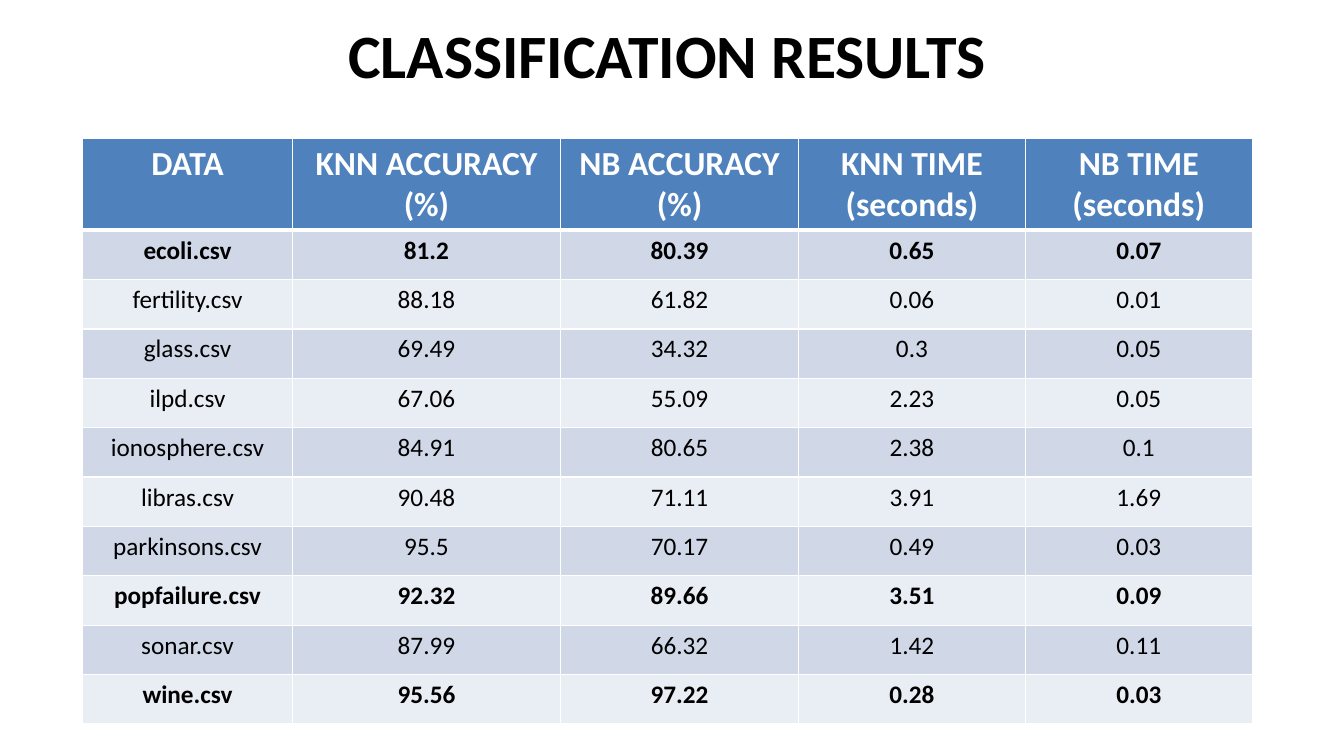
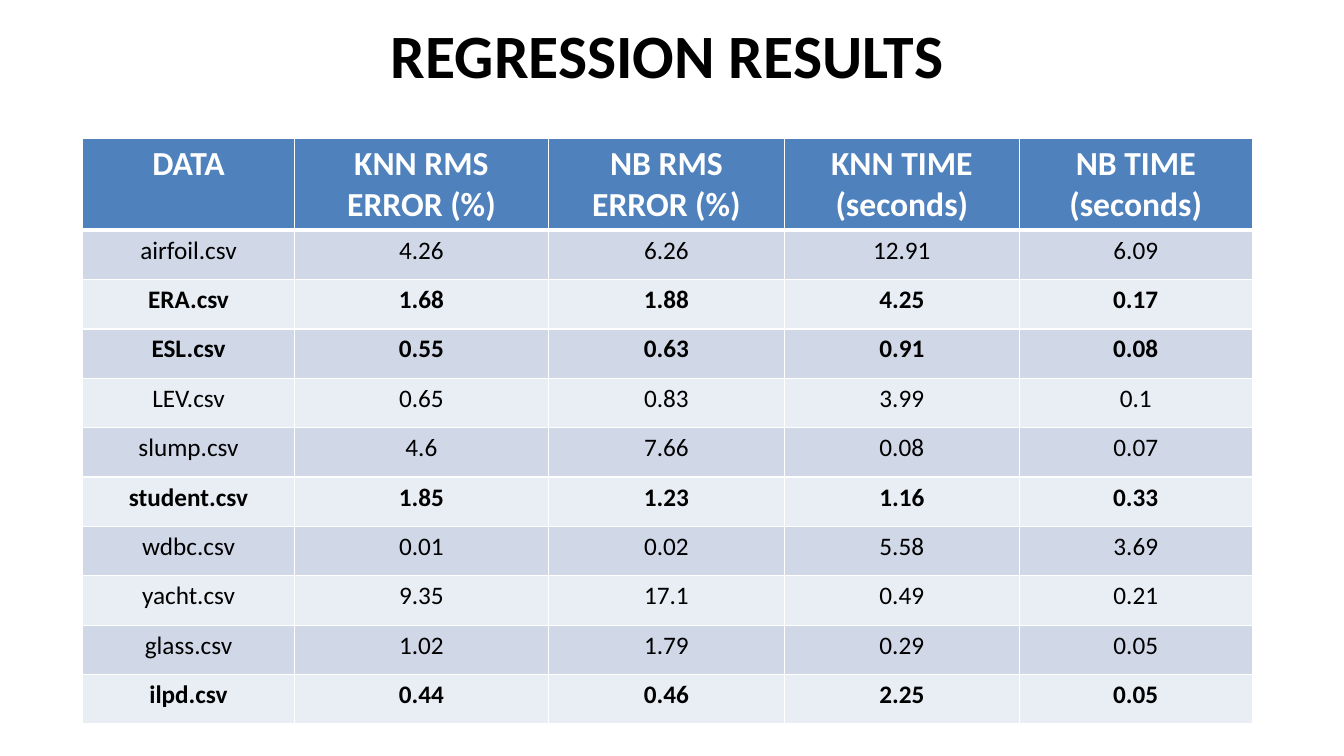
from lxml import etree
from pptx import Presentation
from pptx.dml.color import RGBColor
from pptx.enum.text import MSO_ANCHOR, PP_ALIGN
from pptx.oxml.ns import qn
from pptx.util import Inches, Pt

CENTER = PP_ALIGN.CENTER
MIDDLE = MSO_ANCHOR.MIDDLE

# Content: rows whose data set is listed in "highlighted" are bold
RESULTS = [
    {
        "title": "CLASSIFICATION RESULTS",
        "headings": ["DATA", "KNN ACCURACY (%)", "NB ACCURACY (%)",
                     "KNN TIME (seconds)", "NB TIME (seconds)"],
        "widths": [2.08, 2.66, 2.36, 2.25, 2.25],
        "highlighted": {"ecoli.csv", "popfailure.csv", "wine.csv"},
        "scores": [
            ("ecoli.csv", 81.2, 80.39, 0.65, 0.07),
            ("fertility.csv", 88.18, 61.82, 0.06, 0.01),
            ("glass.csv", 69.49, 34.32, 0.3, 0.05),
            ("ilpd.csv", 67.06, 55.09, 2.23, 0.05),
            ("ionosphere.csv", 84.91, 80.65, 2.38, 0.1),
            ("libras.csv", 90.48, 71.11, 3.91, 1.69),
            ("parkinsons.csv", 95.5, 70.17, 0.49, 0.03),
            ("popfailure.csv", 92.32, 89.66, 3.51, 0.09),
            ("sonar.csv", 87.99, 66.32, 1.42, 0.11),
            ("wine.csv", 95.56, 97.22, 0.28, 0.03),
        ],
    },
    {
        "title": "REGRESSION RESULTS",
        "headings": ["DATA", "KNN RMS ERROR (%)", "NB RMS ERROR (%)",
                     "KNN TIME (seconds)", "NB TIME (seconds)"],
        "widths": [2.1, 2.52, 2.34, 2.33, 2.31],
        "highlighted": {"ERA.csv", "ESL.csv", "student.csv", "ilpd.csv"},
        "scores": [
            ("airfoil.csv", 4.26, 6.26, 12.91, 6.09),
            ("ERA.csv", 1.68, 1.88, 4.25, 0.17),
            ("ESL.csv", 0.55, 0.63, 0.91, 0.08),
            ("LEV.csv", 0.65, 0.83, 3.99, 0.1),
            ("slump.csv", 4.6, 7.66, 0.08, 0.07),
            ("student.csv", 1.85, 1.23, 1.16, 0.33),
            ("wdbc.csv", 0.01, 0.02, 5.58, 3.69),
            ("yacht.csv", 9.35, 17.1, 0.49, 0.21),
            ("glass.csv", 1.02, 1.79, 0.29, 0.05),
            ("ilpd.csv", 0.44, 0.46, 2.25, 0.05),
        ],
    },
]

# Shared look
FONT = "Calibri"
BLACK, WHITE = "000000", "FFFFFF"
HEADER_FILL = "4F81BD"
BAND_FILLS = ["D0D8E8", "E9EDF4"]
LEFT, WIDTH = Inches(0.82), Inches(11.6)
TITLE_HEIGHT = Inches(1.07)
TABLE_TOP, TABLE_HEIGHT = Inches(1.37), Inches(5.83)
HEADER_HEIGHT, ROW_HEIGHT = Inches(0.5), Inches(0.49)
HEADER_BORDERS = {"a:lnL": 1, "a:lnR": 1, "a:lnT": 1, "a:lnB": 3}


def rgb(color):
    return RGBColor.from_string(color)


def format_text(frame, text, size, color, bold):
    frame.text = text
    paragraph = frame.paragraphs[0]
    paragraph.alignment = CENTER
    font = paragraph.font
    font.name, font.size, font.bold = FONT, Pt(size), bold
    font.color.rgb = rgb(color)


def fill_cell(cell, text, size, color, bold, fill):
    format_text(cell.text_frame, text, size, color, bold)
    cell.fill.solid()
    cell.fill.fore_color.rgb = rgb(fill)


def add_header_borders(cell):
    properties = cell._tc.get_or_add_tcPr()
    for position, (side, points) in enumerate(HEADER_BORDERS.items()):
        line = etree.Element(qn(side), w=str(Pt(points)))
        solid = etree.SubElement(line, qn("a:solidFill"))
        etree.SubElement(solid, qn("a:srgbClr"), val=WHITE)
        properties.insert(position, line)


def add_title(slide, text):
    title = slide.shapes.title
    title.left, title.top = LEFT, 0
    title.width, title.height = WIDTH, TITLE_HEIGHT
    title.text_frame.vertical_anchor = MIDDLE
    format_text(title.text_frame, text, 44, BLACK, True)


def add_results_table(slide, result):
    headings, scores = result["headings"], result["scores"]
    frame = slide.shapes.add_table(len(scores) + 1, len(headings),
                                   LEFT, TABLE_TOP, WIDTH, TABLE_HEIGHT)
    table = frame.table
    for column, width in zip(table.columns, result["widths"]):
        column.width = Inches(width)
    for index, row in enumerate(table.rows):
        row.height = ROW_HEIGHT if index else HEADER_HEIGHT
    # The wrapped headings need more than the header's minimum height
    frame.height = TABLE_HEIGHT

    for column, heading in enumerate(headings):
        cell = table.cell(0, column)
        fill_cell(cell, heading, 24, WHITE, True, HEADER_FILL)
        add_header_borders(cell)
    for index, score in enumerate(scores):
        bold = score[0] in result["highlighted"]
        fill = BAND_FILLS[index % 2]
        for column, value in enumerate(score):
            fill_cell(table.cell(index + 1, column), str(value),
                      18, BLACK, bold, fill)


# Build the slides
deck = Presentation()
deck.slide_width, deck.slide_height = Inches(13.33), Inches(7.5)
title_only = deck.slide_layouts[5]
for result in RESULTS:
    slide = deck.slides.add_slide(title_only)
    add_title(slide, result["title"])
    add_results_table(slide, result)

deck.save("out.pptx")
